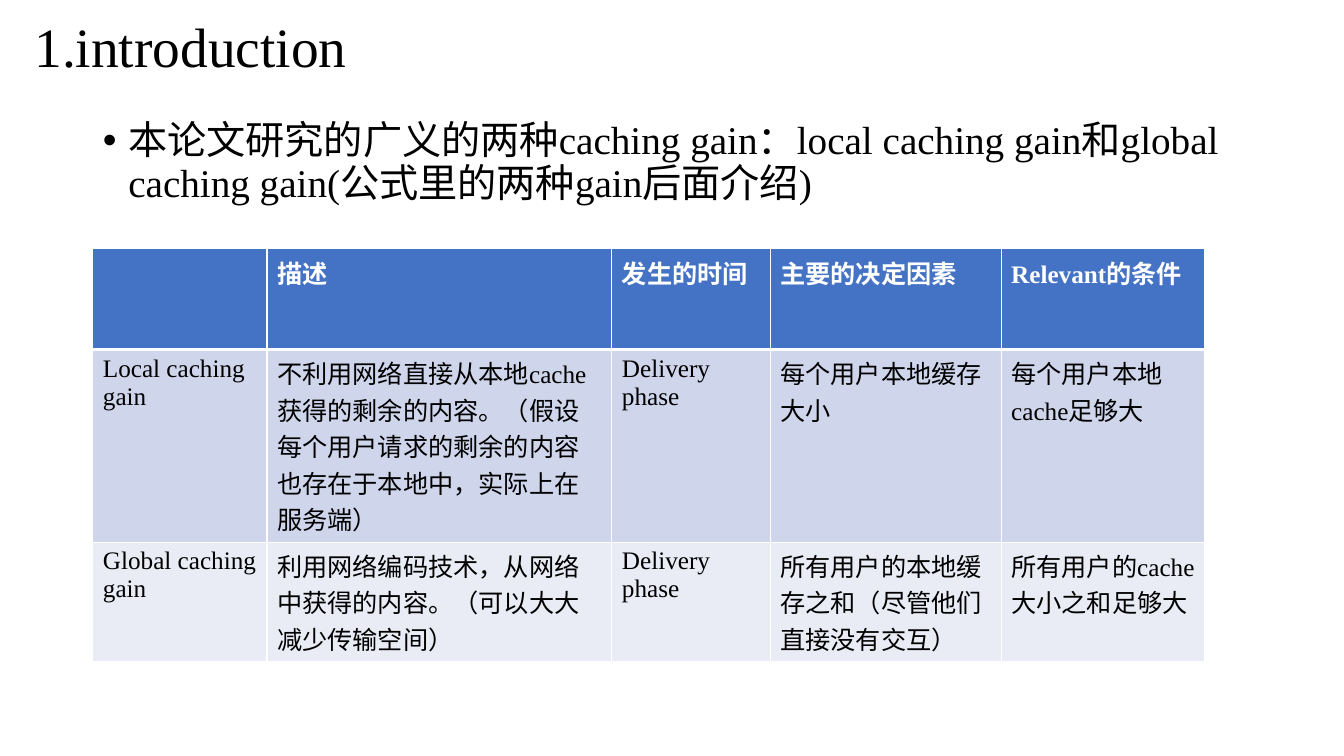
from lxml.etree import SubElement
from pptx import Presentation
from pptx.dml.color import RGBColor
from pptx.enum.lang import MSO_LANGUAGE_ID as Language
from pptx.enum.text import MSO_ANCHOR as Anchor, MSO_AUTO_SIZE as AutoSize, PP_ALIGN as Align
from pptx.oxml.ns import qn
from pptx.util import Cm, Pt

FONT = "Times New Roman"
BLACK = RGBColor(0x00, 0x00, 0x00)
WHITE = RGBColor(0xFF, 0xFF, 0xFF)
HEADER_BLUE = RGBColor(0x44, 0x72, 0xC4)
BAND_DARK = RGBColor(0xCF, 0xD5, 0xEA)
BAND_LIGHT = RGBColor(0xE9, 0xEB, 0xF5)

TITLE_BOX = (Cm(0.61), Cm(0.61), Cm(8.69), Cm(1.3))
BODY_BOX = (Cm(2.34), Cm(2.92), Cm(29.21), Cm(14.22))
TABLE_BOX = (Cm(2.34), Cm(6.27), Cm(28.02), Cm(10.26))

COLUMN_WIDTHS = (4.39, 8.69, 3.99, 5.82, 5.13)
ROW_HEIGHTS = (2.54, 4.75, 2.97)
ROW_FILLS = (HEADER_BLUE, BAND_DARK, BAND_LIGHT)
GAIN_ROWS = (
    ("", "描述", "发生的时间", "主要的决定因素", "Relevant的条件"),
    (
        "Local caching gain",
        "不利用网络直接从本地cache获得的剩余的内容。（假设每个用户请求的剩余的内容也存在于本地中，实际上在服务端）",
        "Delivery phase",
        "每个用户本地缓存大小",
        "每个用户本地cache足够大",
    ),
    (
        "Global caching gain",
        "利用网络编码技术，从网络中获得的内容。（可以大大减少传输空间）",
        "Delivery phase",
        "所有用户的本地缓存之和（尽管他们直接没有交互）",
        "所有用户的cache大小之和足够大",
    ),
)


def format_runs(para, size, color=BLACK, bold=False):
    for span in para.runs:
        font = span.font
        font.name = FONT
        font.size = Pt(size)
        font.bold = bold
        font.color.rgb = color
        font.language_id = Language.SIMPLIFIED_CHINESE


def fill_placeholder(holder, box, text, size, anchor):
    holder.left, holder.top, holder.width, holder.height = box
    frame = holder.text_frame
    frame.text = text
    frame.word_wrap = True
    frame.auto_size = AutoSize.NONE
    frame.vertical_anchor = anchor
    para = frame.paragraphs[0]
    para.alignment = Align.LEFT
    para.line_spacing = 0.9
    para.space_before = Pt(0)
    format_runs(para, size)
    return para


def add_title(page, box):
    fill_placeholder(page.shapes.title, box, "1.introduction", 39.6, Anchor.MIDDLE)


def add_body(page, box):
    text = "本论文研究的广义的两种caching gain：local caching gain和global caching gain(公式里的两种gain后面介绍)"
    para = fill_placeholder(page.placeholders[1], box, text, 28, Anchor.TOP)
    properties = para._p.get_or_add_pPr()
    indent = Cm(0.64)
    properties.set("marL", str(indent))
    properties.set("indent", str(-indent))
    SubElement(properties, qn("a:buFont"), typeface="Arial")
    SubElement(properties, qn("a:buChar"), char="•")


def add_borders(cell, bottom_width):
    properties = cell._tc.get_or_add_tcPr()
    for side, width in (("L", 1), ("R", 1), ("T", 1), ("B", bottom_width)):
        line = SubElement(properties, qn(f"a:ln{side}"), w=str(Pt(width)))
        fill = SubElement(line, qn("a:solidFill"))
        SubElement(fill, qn("a:srgbClr"), val=str(WHITE))


def add_gain_table(page, box):
    table = page.shapes.add_table(len(ROW_HEIGHTS), len(COLUMN_WIDTHS), *box).table
    for column, width in zip(table.columns, COLUMN_WIDTHS):
        column.width = Cm(width)
    for row_index, (row, height) in enumerate(zip(table.rows, ROW_HEIGHTS)):
        row.height = Cm(height)
        is_header = row_index == 0
        for cell, text in zip(row.cells, GAIN_ROWS[row_index]):
            add_borders(cell, 3 if is_header else 1)
            cell.fill.solid()
            cell.fill.fore_color.rgb = ROW_FILLS[row_index]
            cell.text_frame.text = text
            format_runs(cell.text_frame.paragraphs[0], 18, WHITE if is_header else BLACK, is_header)


def main():
    deck = Presentation()
    deck.slide_width, deck.slide_height = Cm(33.87), Cm(19.05)
    page = deck.slides.add_slide(deck.slide_layouts[1])
    add_title(page, TITLE_BOX)
    add_body(page, BODY_BOX)
    add_gain_table(page, TABLE_BOX)
    deck.save("out.pptx")


if __name__ == "__main__":
    main()
